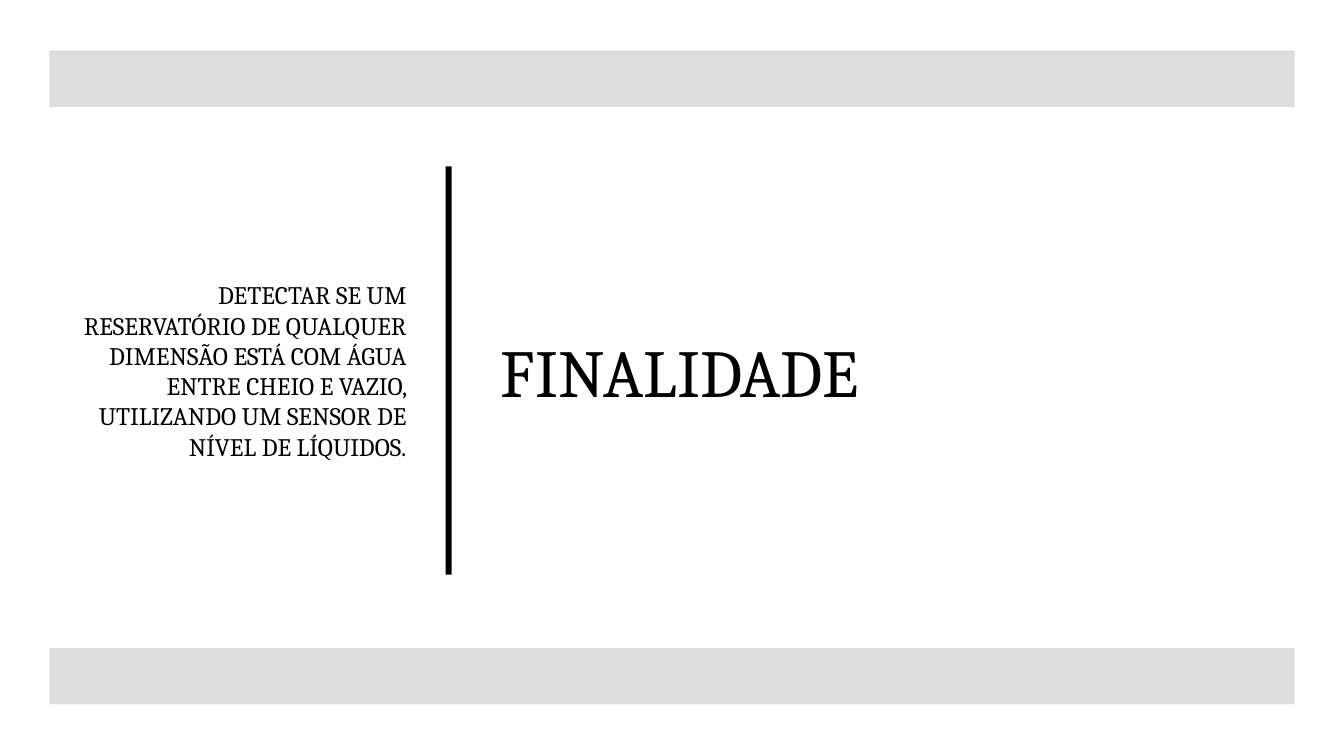
from pptx import Presentation
from pptx.dml.color import RGBColor
from pptx.enum.shapes import MSO_SHAPE
from pptx.enum.text import MSO_ANCHOR, PP_ALIGN
from pptx.util import Inches, Pt

TITLE = "FINALIDADE"
BODY = ("DETECTAR SE UM RESERVATÓRIO DE QUALQUER DIMENSÃO ESTÁ COM ÁGUA "
        "ENTRE CHEIO E VAZIO, UTILIZANDO UM SENSOR DE NÍVEL DE LÍQUIDOS.")
FONT = "Cambria"
BLACK, WHITE, GREY = "000000", "FFFFFF", "DDDDDD"

WIDTH, HEIGHT = 13.33, 7.5
MARGIN = 0.49
INNER = WIDTH - 2 * MARGIN
BAND, BAND_TOPS = 0.56, (0.5, 6.43)
TOP, TALL = 1.65, 4.05
BODY_WIDE = 3.64
RULE, RULE_LEFT = 0.06, 4.42
TITLE_LEFT = 4.87


def block(slide, color, *box):
    shape = slide.shapes.add_shape(MSO_SHAPE.RECTANGLE, *map(Inches, box))
    shape.shadow.inherit = False
    shape.fill.solid()
    shape.fill.fore_color.rgb = RGBColor.from_string(color)
    shape.line.fill.background()


def label(slide, text, size, align, *box):
    frame = slide.shapes.add_textbox(*map(Inches, box)).text_frame
    frame.word_wrap = True
    frame.vertical_anchor = MSO_ANCHOR.MIDDLE
    frame.text = text
    para = frame.paragraphs[0]
    para.alignment = align
    font = para.runs[0].font
    font.name, font.size = FONT, Pt(size)
    font.color.rgb = RGBColor.from_string(BLACK)
    return para


def main():
    deck = Presentation()
    deck.slide_width, deck.slide_height = Inches(WIDTH), Inches(HEIGHT)
    slide = deck.slides.add_slide(deck.slide_layouts[6])

    block(slide, WHITE, 0, 0, WIDTH, HEIGHT)
    label(slide, TITLE, 48, PP_ALIGN.LEFT,
          TITLE_LEFT, TOP, WIDTH - MARGIN - TITLE_LEFT, TALL)
    body = label(slide, BODY, 18, PP_ALIGN.RIGHT, MARGIN, TOP, BODY_WIDE, TALL)
    body.space_before, body.space_after = Pt(3.6), Pt(6)

    for top in BAND_TOPS:
        block(slide, GREY, MARGIN, top, INNER, BAND)
    block(slide, BLACK, RULE_LEFT, TOP, RULE, TALL)

    deck.save("out.pptx")


if __name__ == "__main__":
    main()
